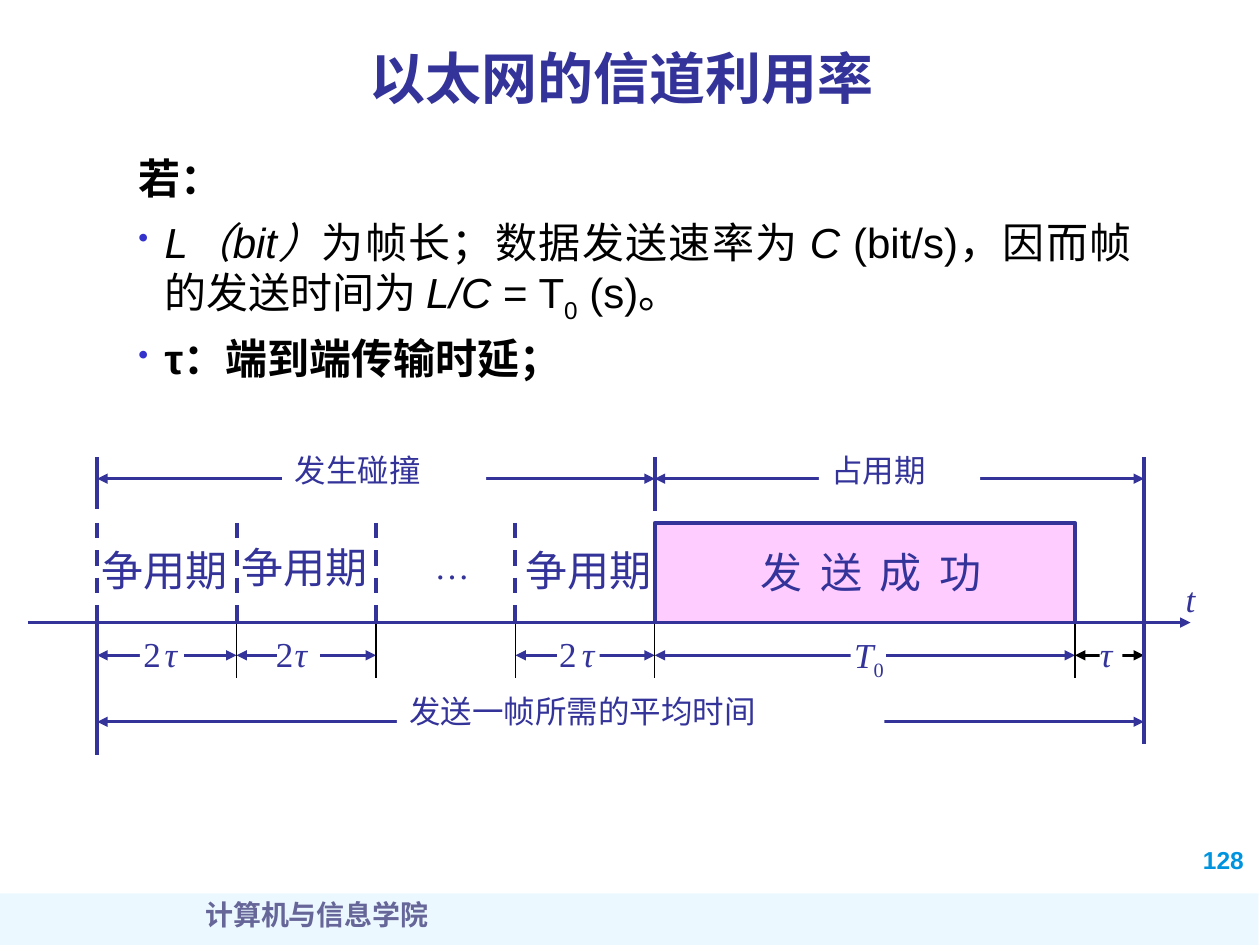
from dataclasses import dataclass

from lxml import etree
from pptx import Presentation
from pptx.dml.color import RGBColor
from pptx.enum.dml import MSO_LINE
from pptx.enum.shapes import MSO_CONNECTOR, MSO_SHAPE
from pptx.enum.text import MSO_ANCHOR, PP_ALIGN
from pptx.oxml import parse_xml
from pptx.oxml.ns import nsdecls, qn
from pptx.util import Cm, Pt

LEFT, CENTER, JUSTIFY = PP_ALIGN.LEFT, PP_ALIGN.CENTER, PP_ALIGN.JUSTIFY
TOP, MIDDLE = MSO_ANCHOR.TOP, MSO_ANCHOR.MIDDLE
STRAIGHT, RECT, DASH = MSO_CONNECTOR.STRAIGHT, MSO_SHAPE.RECTANGLE, MSO_LINE.DASH


@dataclass(frozen=True)
class Theme:
    ink: str = "333399"
    black: str = "000000"
    white: str = "FFFFFF"
    frame: str = "FFCCFF"
    band: str = "A7E2FF"
    footer: str = "666699"
    number: str = "0094DE"
    bullet: str = "3333CC"
    shadow: str = "C0C0C0"
    sans: str = "Arial"
    serif: str = "Times New Roman"
    thin: float = 0.75
    arrow: float = 1.5
    bold: float = 2.25


T = Theme()
TITLE = dict(name=T.serif, size=Pt(32), color=T.ink, bold=True)
BODY = dict(name=T.sans, size=Pt(24), color=T.black)
STRONG = dict(BODY, bold=True)
ITALIC = dict(BODY, italic=True)
FOOTER = dict(name=T.serif, size=Pt(16), color=T.footer, bold=True)
NUMBER = dict(name=T.sans, size=Pt(14), color=T.number, bold=True)
SLOT = dict(name=T.serif, size=Pt(24), color=T.ink)
SPAN = dict(SLOT, size=Pt(18))
DIGIT = dict(SLOT, size=Pt(20))
SYMBOL = dict(DIGIT, italic=True)

START, STEP, SLOTS = 1.96, 2.81, 4
EDGES = [round(START + STEP * i, 2) for i in range(SLOTS + 1)]
SENT, END = 21.67, 23.06
SPAN_Y, FRAME_Y, AXIS_Y, TIME_Y, TOTAL_Y = 9.65, 10.54, 12.55, 13.21, 14.55
MARK_TOP, TICK_END = 9.22, 13.67

BULLETS = [
    [("L（bit）", ITALIC), ("为帧长；数据发送速率为 ", BODY), ("C", ITALIC),
     (" (bit/s)，因而帧的发送时间为 ", BODY), ("L/C ", ITALIC), ("= T", BODY),
     ("0", dict(BODY, baseline=-25000)), (" (s)。", BODY)],
    [("τ：端到端传输时延；", STRONG)],
]
HEADINGS = [
    ("128", NUMBER, (24, 16.92, 1.5, 0.84), LEFT, TOP),
    ("计算机与信息学院", FOOTER, (0.69, 17.96, 11.4, 1.27), CENTER, TOP),
    ("以太网的信道利用率", dict(TITLE, shadow=T.shadow), (2.69, 0.61, 19.69, 1.9), CENTER, MIDDLE),
    ("若：", STRONG, (2.54, 2.95, 2.77, 1.27), LEFT, TOP),
]
SPAN_LABELS = [
    ("占用期", (16.51, 8.97, 3.25, 1.27)),
    ("发生碰撞", (5.69, 8.97, 4.11, 1.27)),
    ("发送一帧所需的平均时间", (8, 13.82, 9.83, 1.27)),
]
SLOT_LABELS = [(1.8, 10.85), (4.62, 10.8), (10.34, 10.85)]
TAU_LABELS = [(2.64, 3.07), (5.31, 5.69), (11.02, 11.48)]
GAPS = [
    (12.52, 14.12, 1.17, 1.12), (22.17, 12.93, 0.46, 0.58), (11.23, 12.9, 0.86, 0.71),
    (5.59, 12.7, 0.86, 0.64), (2.82, 12.57, 0.89, 0.91), (17.15, 12.78, 0.71, 0.89),
]
ARROWS = [
    (START, END, TOTAL_Y, T.ink), (START, EDGES[4], SPAN_Y, T.ink),
    (EDGES[4], END, SPAN_Y, T.ink), (SENT, END, TIME_Y, T.black),
    (EDGES[4], SENT, TIME_Y, T.ink),
] + [(EDGES[i], EDGES[i + 1], TIME_Y, T.ink) for i in (3, 1, 0)]
POSTS = [
    (START, AXIS_Y, 15.21), (END, AXIS_Y, 14.99), (EDGES[4], MARK_TOP, 10.31),
    (END, MARK_TOP, AXIS_Y), (START, MARK_TOP, 10.26),
]


def rgb(value):
    return RGBColor.from_string(value)


def add_run(p, text, style):
    r = p.add_run()
    r.text = text
    for key, value in style.items():
        if key == "color":
            r.font.color.rgb = rgb(value)
        elif key in ("baseline", "spc"):
            r.font._element.set(key, str(value))
        elif key == "shadow":
            r.font._element.find(qn("a:solidFill")).addnext(parse_xml(
                f'<a:effectLst {nsdecls("a")}><a:outerShdw dist="35921" dir="2700000">'
                f'<a:srgbClr val="{value}"/></a:outerShdw></a:effectLst>'))
        else:
            setattr(r.font, key, value)


def write(sp, paragraphs, align=LEFT, anchor=TOP):
    tf = sp.text_frame
    tf.word_wrap = True
    tf.vertical_anchor = anchor
    for i, runs in enumerate(paragraphs):
        p = tf.add_paragraph() if i else tf.paragraphs[0]
        p.alignment = align
        for text, style in runs:
            add_run(p, text, style)
    return tf


def add_text(s, box, runs, align=LEFT, anchor=TOP):
    write(s.shapes.add_textbox(*map(Cm, box)), [runs], align, anchor)


def add_rect(s, box, color):
    sp = s.shapes.add_shape(RECT, *map(Cm, box))
    sp.shadow.inherit = False
    sp.fill.solid()
    sp.fill.fore_color.rgb = rgb(color)
    sp.line.fill.background()
    return sp


def add_line(s, x1, y1, x2, y2, color, width, ends=(), dash=None):
    c = s.shapes.add_connector(STRAIGHT, *map(Cm, (x1, y1, x2, y2)))
    c.line.color.rgb = rgb(color)
    c.line.width = Pt(width)
    if dash:
        c.line.dash_style = dash
    for end in ends:
        etree.SubElement(c.line._ln, qn(f"a:{end}"), type="triangle")
    etree.SubElement(c._element.spPr, qn("a:effectLst"))


def add_bullets(s):
    tf = write(s.shapes.add_textbox(*map(Cm, (2.54, 4.24, 20.52, 4.78))), BULLETS, JUSTIFY)
    for i, p in enumerate(tf.paragraphs):
        if i:
            p.space_before = Pt(5)
        pPr = p._p.get_or_add_pPr()
        pPr.set("marL", str(Cm(0.53)))
        pPr.set("indent", str(-Cm(0.53)))
        color = etree.SubElement(pPr, qn("a:buClr"))
        etree.SubElement(color, qn("a:srgbClr"), val=T.bullet)
        etree.SubElement(pPr, qn("a:buSzPct"), val="70000")
        etree.SubElement(pPr, qn("a:buChar"), char="•")


def add_frame(s):
    corners = [(EDGES[4], FRAME_Y), (SENT, FRAME_Y), (SENT, AXIS_Y)]
    fb = s.shapes.build_freeform(Cm(EDGES[4]), Cm(AXIS_Y), scale=1.0)
    fb.add_line_segments([(Cm(x), Cm(y)) for x, y in corners], close=False)
    sp = fb.convert_to_shape()
    sp.shadow.inherit = False
    sp.fill.solid()
    sp.fill.fore_color.rgb = rgb(T.frame)
    sp.line.color.rgb = rgb(T.ink)
    sp.line.width = Pt(T.bold)


def add_timeline(s):
    for x1, x2, y, color in ARROWS:
        add_line(s, x1, y, x2, y, color, T.arrow, ("headEnd", "tailEnd"))
    for box in GAPS:
        add_rect(s, box, T.white)
    add_frame(s)
    add_text(s, (15.09, 10.9, 5.38, 1.27), [("发 送 成 功", dict(SLOT, spc=230))])
    for x, y in SLOT_LABELS:
        add_text(s, (x, y, 3.25, 1.27), [("争用期", SLOT)])
    for x in EDGES[:4]:
        add_line(s, x, FRAME_Y, x, AXIS_Y, T.ink, T.bold, dash=DASH)
    for x in EDGES[1:] + [SENT]:
        add_line(s, x, AXIS_Y, x, TICK_END, T.black, T.thin)
    for digit_x, tau_x in TAU_LABELS:
        add_text(s, (tau_x, 12.62, 1.22, 1.1), [("τ", SYMBOL)])
        add_text(s, (digit_x, 12.62, 0.86, 1.1), [("2", DIGIT)])
    add_text(s, (16.97, 12.65, 1.14, 1.1), [("T", SYMBOL), ("0", dict(DIGIT, baseline=-25000))])
    add_text(s, (21.92, 12.62, 0.76, 1.1), [("τ", SYMBOL)], CENTER)
    add_text(s, (23.65, 11.51, 0.71, 1.1), [("t", SYMBOL)])
    for text, box in SPAN_LABELS:
        write(add_rect(s, box, T.white), [[(text, SPAN)]])
    for x, y1, y2 in POSTS:
        add_line(s, x, y1, x, y2, T.ink, T.bold)
    add_text(s, (8.51, 10.85, 1.22, 1.1), [("…", DIGIT)])
    add_line(s, 0.56, AXIS_Y, 24, AXIS_Y, T.ink, T.arrow, ("tailEnd",))


def main():
    prs = Presentation()
    prs.slide_width, prs.slide_height = Cm(25.4), Cm(19.05)
    s = prs.slides.add_slide(prs.slide_layouts[6])
    band = add_rect(s, (-0.03, 18.01, 25.4, 1.12), T.band)
    etree.SubElement(band._element.spPr.find(".//" + qn("a:srgbClr")), qn("a:alpha"), val="21000")
    for text, style, box, align, anchor in HEADINGS:
        add_text(s, box, [(text, style)], align, anchor)
    add_bullets(s)
    add_timeline(s)
    prs.save("out.pptx")


if __name__ == "__main__":
    main()
